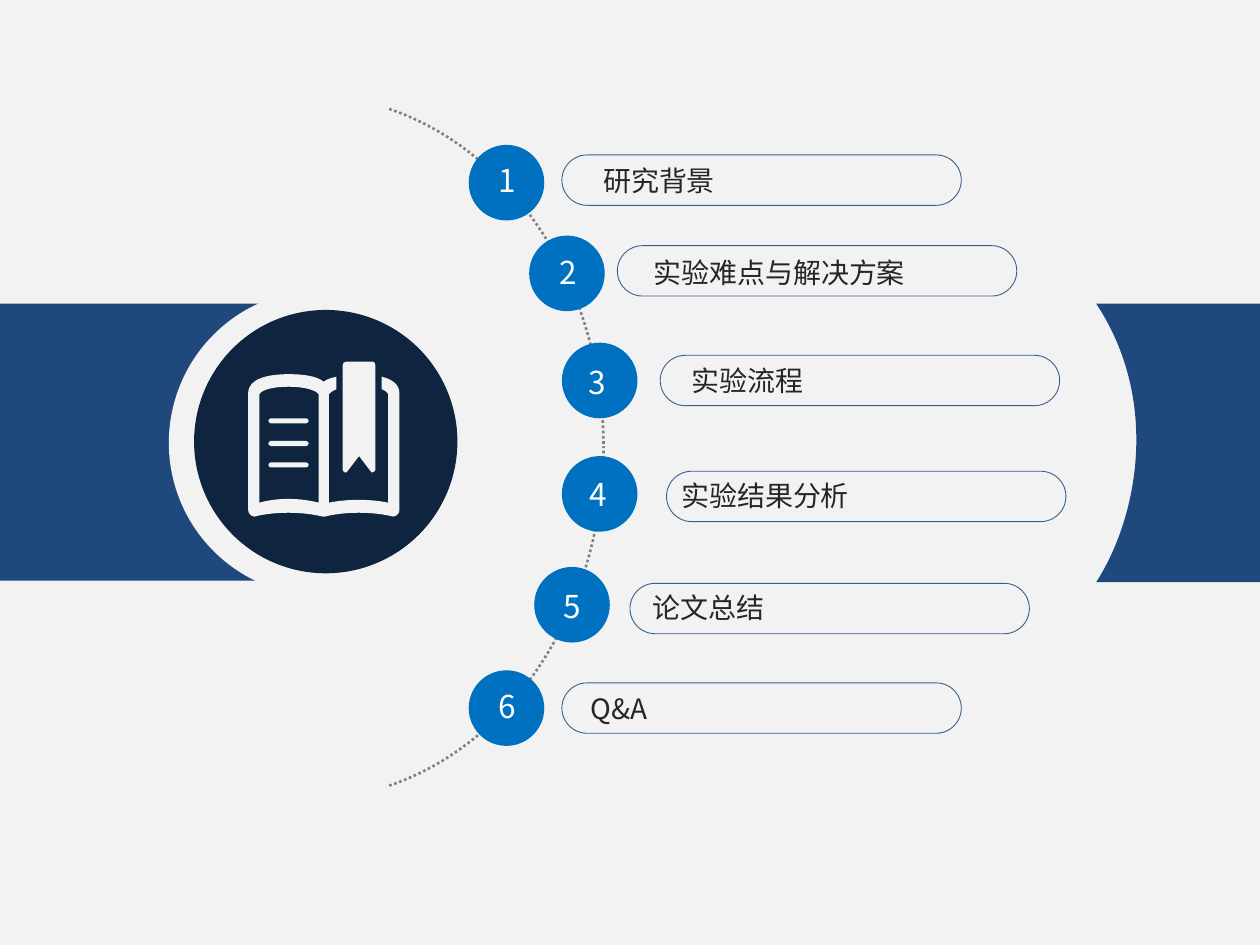
from dataclasses import dataclass

from lxml.etree import SubElement
from pptx import Presentation
from pptx.dml.color import RGBColor
from pptx.enum.dml import MSO_LINE
from pptx.enum.shapes import MSO_SHAPE as SHAPE
from pptx.enum.text import MSO_AUTO_SIZE as AUTO_SIZE
from pptx.oxml.ns import qn
from pptx.util import Pt

PX = 9144  # EMU per px, 100 px to the inch


@dataclass(frozen=True)
class Theme:
    page: str = "F2F2F2"
    band: str = "1F497D"
    disc: str = "0F243E"
    badge: str = "0070C0"
    pill: str = "3A5F8C"
    arc: str = "808080"
    text: str = "262626"
    number: str = "FFFFFF"
    font: str = "Noto Sans CJK SC"
    title_size: int = 16
    number_size: int = 18


THEME = Theme()

# title, badge, number, pill and title positions, title width
AGENDA = [
    ("研究背景", (372, 115), (386, 123), (446, 123), (469, 125), 110),
    ("实验难点与解决方案", (420, 187), (434, 196), (490, 195), (509, 198), 222),
    ("实验流程", (446, 272), (457, 283), (524, 282), (539, 284), 110),
    ("实验结果分析", (446, 362), (458, 372), (529, 374), (531, 375), 155),
    ("论文总结", (424, 450), (437, 461), (500, 463), (508, 464), 110),
    ("Q&A", (372, 532), (386, 540), (446, 542), (459, 544), 74),
]

# Outlines: a pair is a line to a point, six numbers are a cubic curve
RIGHT_BAND = [(0, 0), (135, 0), (135, 221), (0, 221), (33, 170, 51, 77, 0, 0)]
BOOKMARK = [(78, 0), (99, 0), (100, 0, 101, 1, 101, 3), (101, 86),
            (101, 87, 99, 88, 98, 88), (88, 75), (78, 88),
            (77, 88, 75, 88, 75, 86), (75, 3), (75, 1, 76, 0, 78, 0)]
TEXT_LINE = [(0, 2), (0, 3, 1, 4, 2, 4), (30, 4), (31, 4, 32, 3, 32, 2),
             (32, 1, 31, 0, 30, 0), (2, 0), (1, 0, 0, 1, 0, 2)]
BOOK = [(106, 12), (106, 22), (109, 23, 111, 25, 111, 26), (111, 112),
        (97, 109, 79, 109, 64, 112), (64, 26), (65, 25, 67, 23, 70, 22),
        (70, 12), (66, 13, 62, 14, 60, 16), (54, 11, 42, 10, 32, 10),
        (17, 10, 0, 13, 0, 25), (0, 118), (0, 121, 3, 123, 5, 123),
        (13, 121, 22, 120, 32, 120), (41, 120, 51, 121, 59, 123), (61, 123),
        (69, 121, 78, 120, 88, 120), (97, 120, 107, 121, 115, 123),
        (117, 123, 120, 121, 120, 118), (120, 25),
        (120, 18, 114, 14, 106, 12)]
LEFT_PAGE = [(56, 112), (48, 110, 40, 109, 32, 109), (24, 109, 16, 110, 9, 112),
             (9, 26), (10, 23, 18, 20, 32, 20), (46, 20, 54, 23, 56, 26)]


def rgb(color):
    return RGBColor.from_string(color)


def paint(sp, fill=None, line=None, width=0.5):
    sp.shadow.inherit = False
    if fill:
        sp.fill.solid()
        sp.fill.fore_color.rgb = rgb(fill)
    else:
        sp.fill.background()
    if line:
        sp.line.color.rgb = rgb(line)
        sp.line.width = Pt(width)
    else:
        sp.line.fill.background()
    return sp


def add_preset(shapes, kind, box, **style):
    return paint(shapes.add_shape(kind, *(v * PX for v in box)), **style)


def curve_segments(sp, x, y, contours):
    """Swap the straight segments of a freeform for its cubic curves."""
    segments = [seg for contour in contours for seg in contour[1:]]
    for line, seg in zip(list(sp._element.iter(qn("a:lnTo"))), segments):
        if len(seg) == 2:
            continue
        line.tag = qn("a:cubicBezTo")
        for child in list(line):
            line.remove(child)
        for px, py in zip(seg[::2], seg[1::2]):
            SubElement(line, qn("a:pt"), x=str((x + px) * PX - sp.left),
                       y=str((y + py) * PX - sp.top))


def add_outline(shapes, x, y, contours, fill):
    builder = None
    for contour in contours:
        ends = [((x + seg[-2]) * PX, (y + seg[-1]) * PX) for seg in contour]
        if builder is None:
            builder = shapes.build_freeform(*ends[0], scale=1.0)
        else:
            builder.move_to(*ends[0])
        builder.add_line_segments(ends[1:], close=True)
    sp = paint(builder.convert_to_shape(), fill=fill)
    curve_segments(sp, x, y, contours)


def add_label(shapes, box, text, size, color):
    tf = shapes.add_textbox(*(v * PX for v in box)).text_frame
    tf.word_wrap = False
    tf.auto_size = AUTO_SIZE.SHAPE_TO_FIT_TEXT
    p = tf.paragraphs[0]
    p.text = text
    font = p.font
    font.size = Pt(size)
    font.color.rgb = rgb(color)
    font.name = THEME.font
    SubElement(font._rPr, qn("a:ea"), typeface=THEME.font)


def add_bands(shapes, y, height):
    add_preset(shapes, SHAPE.RECTANGLE, (0, y, 295, height), fill=THEME.band)
    add_outline(shapes, 870, y, [RIGHT_BAND], THEME.band)


def add_emblem_discs(shapes, x, y):
    add_preset(shapes, SHAPE.OVAL, (x, y, 243, 243), fill=THEME.page)
    add_preset(shapes, SHAPE.OVAL, (x + 20, y + 16, 209, 209), fill=THEME.disc)


def add_book(shapes, x, y):
    group = shapes.add_group_shape().shapes
    add_outline(group, x, y, [BOOKMARK], THEME.page)
    for top in (45, 63, 80):
        add_outline(group, x + 16, y + top, [TEXT_LINE], THEME.page)
    add_outline(group, x, y, [BOOK, LEFT_PAGE], THEME.page)


def add_dotted_arcs(shapes, x, y, width, height):
    group = shapes.add_group_shape().shapes
    for top, flipped in ((y + 1, False), (y, True)):
        sp = add_preset(group, SHAPE.ARC, (x, top, width, height),
                        line=THEME.arc, width=1.5)
        sp.adjustments[0] = 169.961
        sp.line.dash_style = MSO_LINE.ROUND_DOT
        if flipped:
            sp._element.spPr.find(qn("a:xfrm")).set("flipV", "1")


def add_agenda(shapes):
    for _, badge, *_ in AGENDA:
        add_preset(shapes, SHAPE.OVAL, (*badge, 60, 60), fill=THEME.badge)
    for _, _, _, pill, *_ in AGENDA:
        sp = add_preset(shapes, SHAPE.ROUNDED_RECTANGLE, (*pill, 317, 40),
                        line=THEME.pill)
        sp.adjustments[0] = 0.5
    for title, _, _, _, label, width in AGENDA:
        add_label(shapes, (*label, width, 37), title, THEME.title_size, THEME.text)
    for index, (_, _, number, *_) in enumerate(AGENDA, 1):
        add_label(shapes, (*number, 35, 40), str(index), THEME.number_size, THEME.number)


def main():
    prs = Presentation()
    prs.slide_width, prs.slide_height = 1000 * PX, 750 * PX
    shapes = prs.slides.add_slide(prs.slide_layouts[6]).shapes

    # Backdrop, side bands and emblem discs
    add_preset(shapes, SHAPE.RECTANGLE, (-4, -9, 1005, 762), fill=THEME.page)
    add_bands(shapes, 241, 220)
    add_emblem_discs(shapes, 134, 230)

    # Agenda along the dotted arc
    add_dotted_arcs(shapes, 12, 75, 467, 559)
    add_agenda(shapes)

    # Book icon on the emblem
    add_book(shapes, 197, 287)

    prs.save("out.pptx")


if __name__ == "__main__":
    main()
